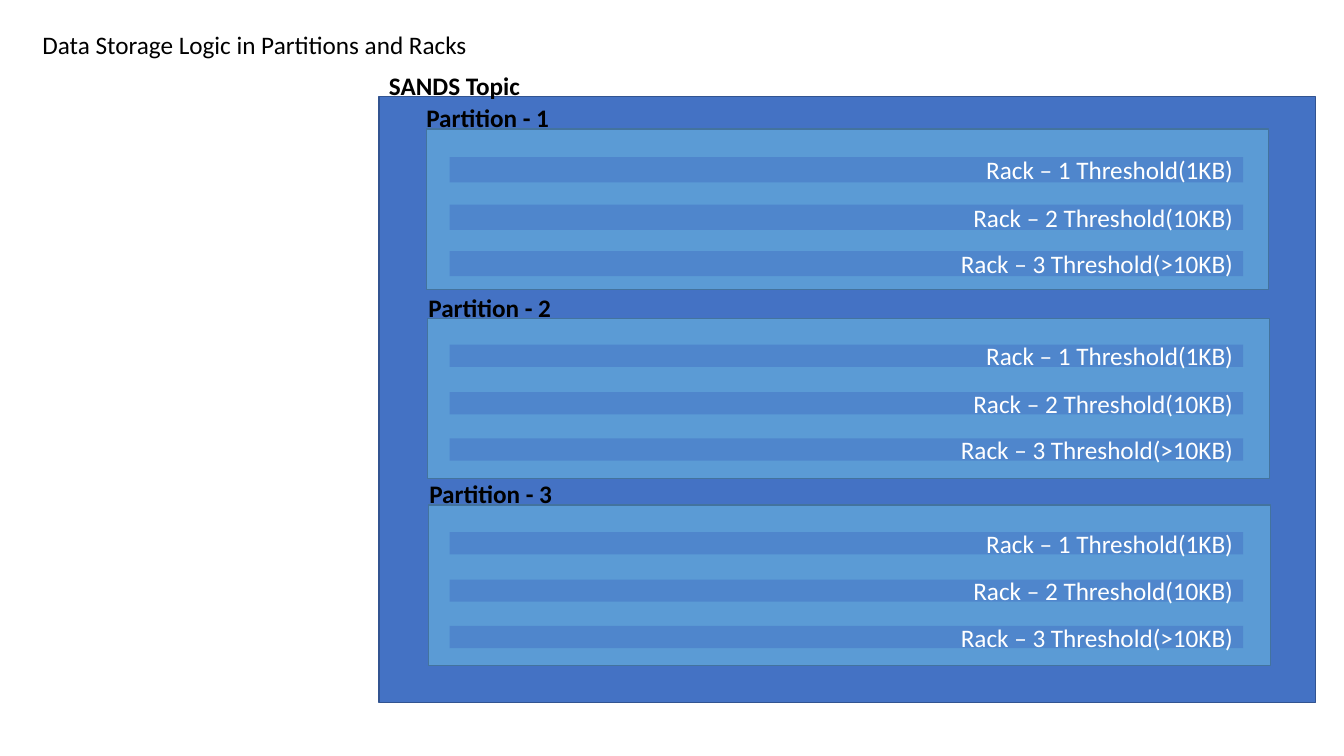
from pptx import Presentation
from pptx.dml.color import RGBColor
from pptx.enum.shapes import MSO_SHAPE
from pptx.enum.text import MSO_ANCHOR, MSO_AUTO_SIZE, PP_ALIGN
from pptx.oxml.ns import qn
from pptx.util import Pt
from lxml import etree

PX = 9144  # 100 px to the inch
RECTANGLE = MSO_SHAPE.RECTANGLE
TOP, MIDDLE = MSO_ANCHOR.TOP, MSO_ANCHOR.MIDDLE
LEFT, RIGHT = PP_ALIGN.LEFT, PP_ALIGN.RIGHT

BLACK, WHITE = "000000", "FFFFFF"
TOPIC_BLUE, TOPIC_EDGE = "4472C4", "325491"
PARTITION_BLUE, PARTITION_EDGE = "5B9BD5", "43739E"

# partition left and top, label left, rack height
PARTITIONS = [(423, 128, 413, 25), (424, 316, 415, 22), (425, 501, 416, 22)]
LABEL_RISE = 31
FIRST_RACK_TOP, PARTITION_PITCH = 156, 186
RACKS = [
    (0, "Rack – 1 Threshold(1KB)"),
    (47, "Rack – 2 Threshold(10KB)"),
    (93, "Rack – 3 Threshold(>10KB)"),
]


def write(shape, text, color, align, anchor, bold=False):
    frame = shape.text_frame
    frame.word_wrap = True
    frame.auto_size = MSO_AUTO_SIZE.NONE
    frame.vertical_anchor = anchor
    frame.text = text
    paragraph = frame.paragraphs[0]
    paragraph.alignment = align
    paragraph.font.name = "Calibri"
    paragraph.font.size = Pt(18)
    paragraph.font.bold = bold
    paragraph.font.color.rgb = RGBColor.from_string(color)


def add_box(left, top, width, height, fill, edge=None):
    shape = slide.shapes.add_shape(
        RECTANGLE, left * PX, top * PX, width * PX, height * PX)
    shape.shadow.inherit = False
    shape.fill.solid()
    shape.fill.fore_color.rgb = RGBColor.from_string(fill)
    if edge:
        shape.line.color.rgb = RGBColor.from_string(edge)
        shape.line.width = Pt(1)
    else:
        shape.line.fill.background()
    return shape


presentation = Presentation()
presentation.slide_width = 1333 * PX
presentation.slide_height = 750 * PX
slide = presentation.slides.add_slide(presentation.slide_layouts[5])

title = slide.shapes.title
title.left, title.top, title.width, title.height = 32 * PX, 24 * PX, 975 * PX, 40 * PX
write(title, "Data Storage Logic in Partitions and Racks", BLACK, LEFT, TOP)

add_box(376, 96, 929, 601, TOPIC_BLUE, TOPIC_EDGE)
topic_label = slide.shapes.add_textbox(376 * PX, 65 * PX, 426 * PX, 40 * PX)
write(topic_label, "SANDS Topic", BLACK, LEFT, TOP, bold=True)

for index, (left, top, label_left, rack_height) in enumerate(PARTITIONS):
    add_box(left, top, 835, 159, PARTITION_BLUE, PARTITION_EDGE)
    label = slide.shapes.add_textbox(
        label_left * PX, (top - LABEL_RISE) * PX, 229 * PX, 40 * PX)
    write(label, f"Partition - {index + 1}", BLACK, LEFT, TOP, bold=True)

    for offset, text in RACKS:
        rack_top = FIRST_RACK_TOP + index * PARTITION_PITCH + offset
        rack = add_box(446, rack_top, 787, rack_height, TOPIC_BLUE)
        rack_color = rack.fill._xPr.find(qn("a:solidFill"))[0]
        etree.SubElement(rack_color, qn("a:alpha"), val="50000")
        write(rack, text, WHITE, RIGHT, MIDDLE)

presentation.save("out.pptx")
